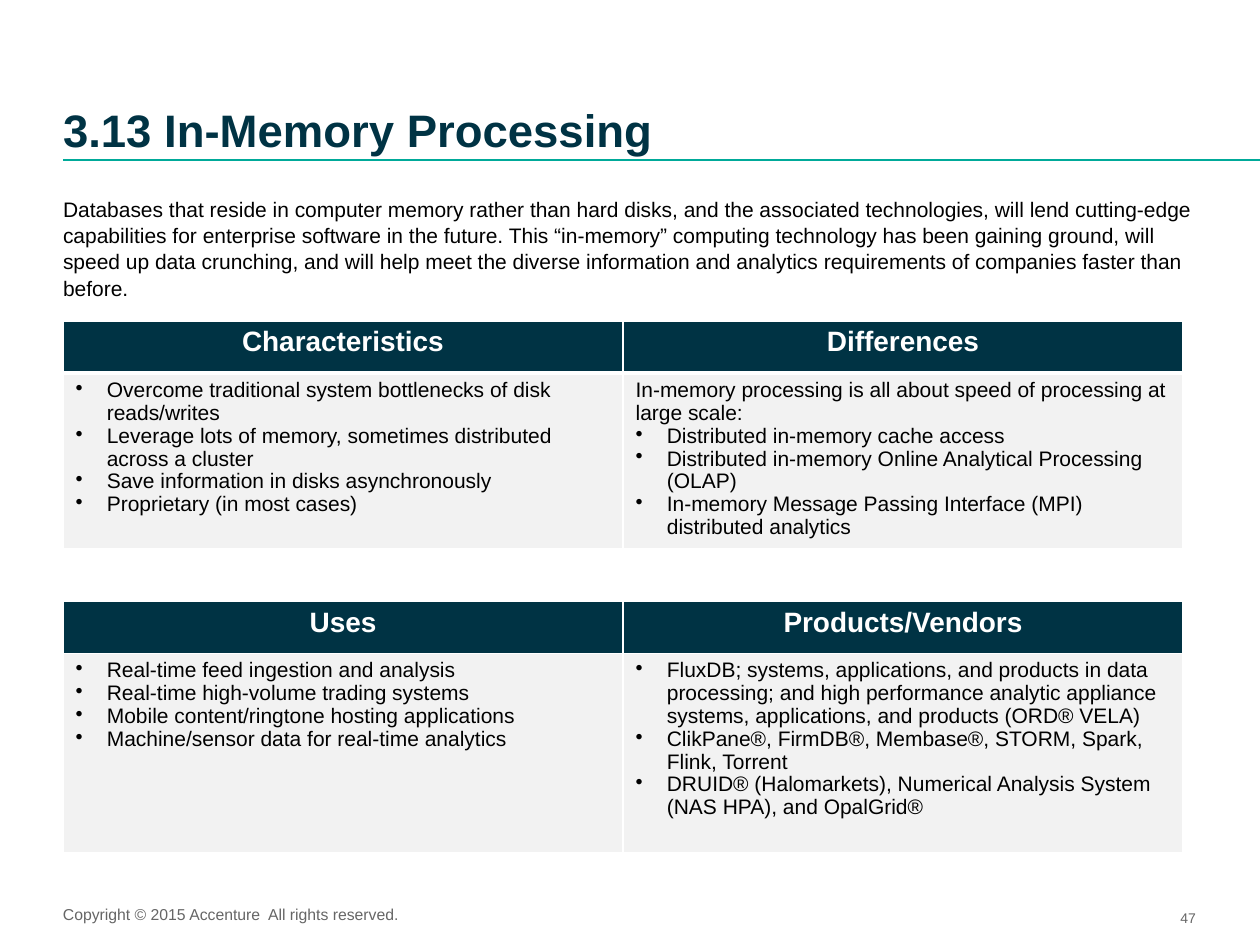
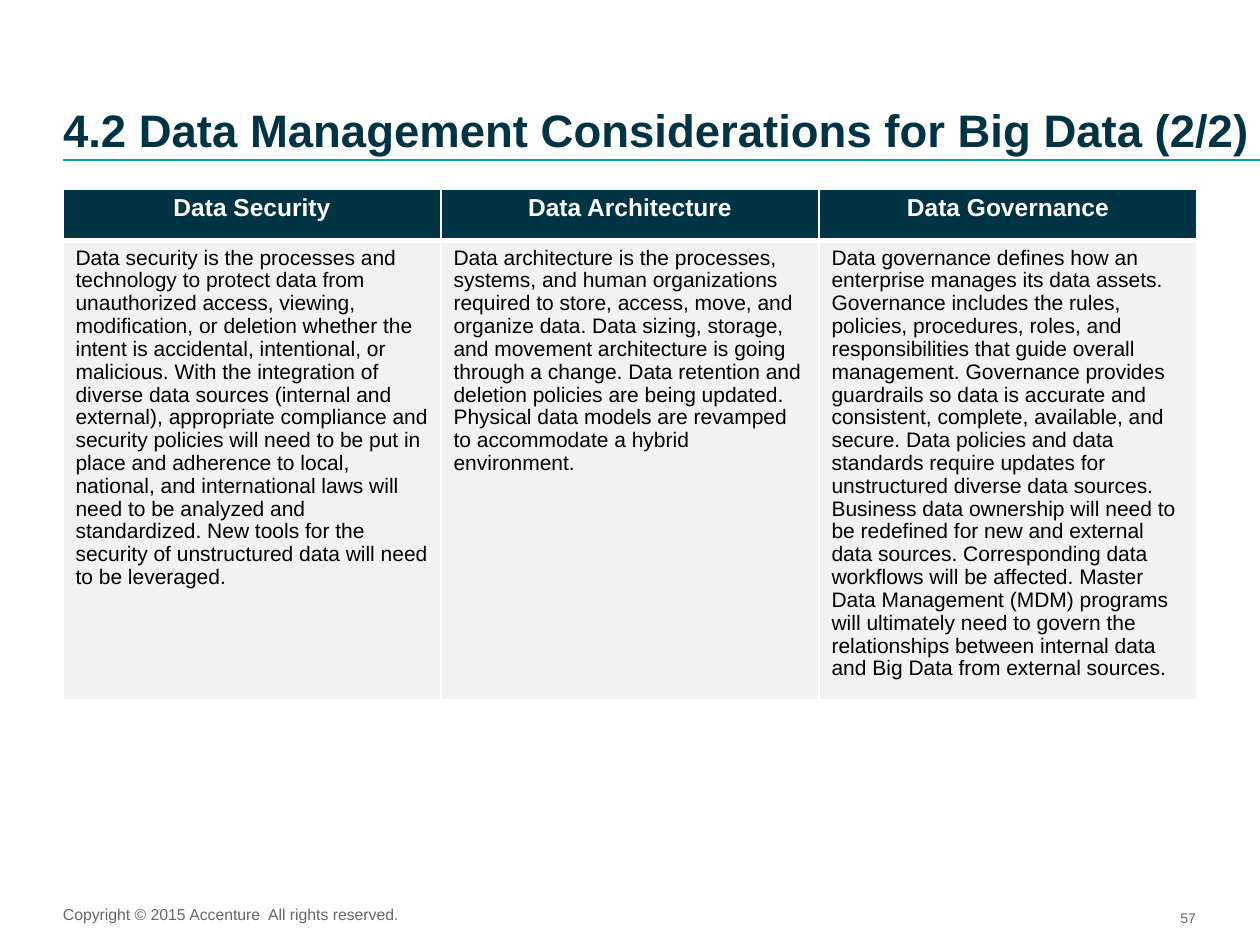
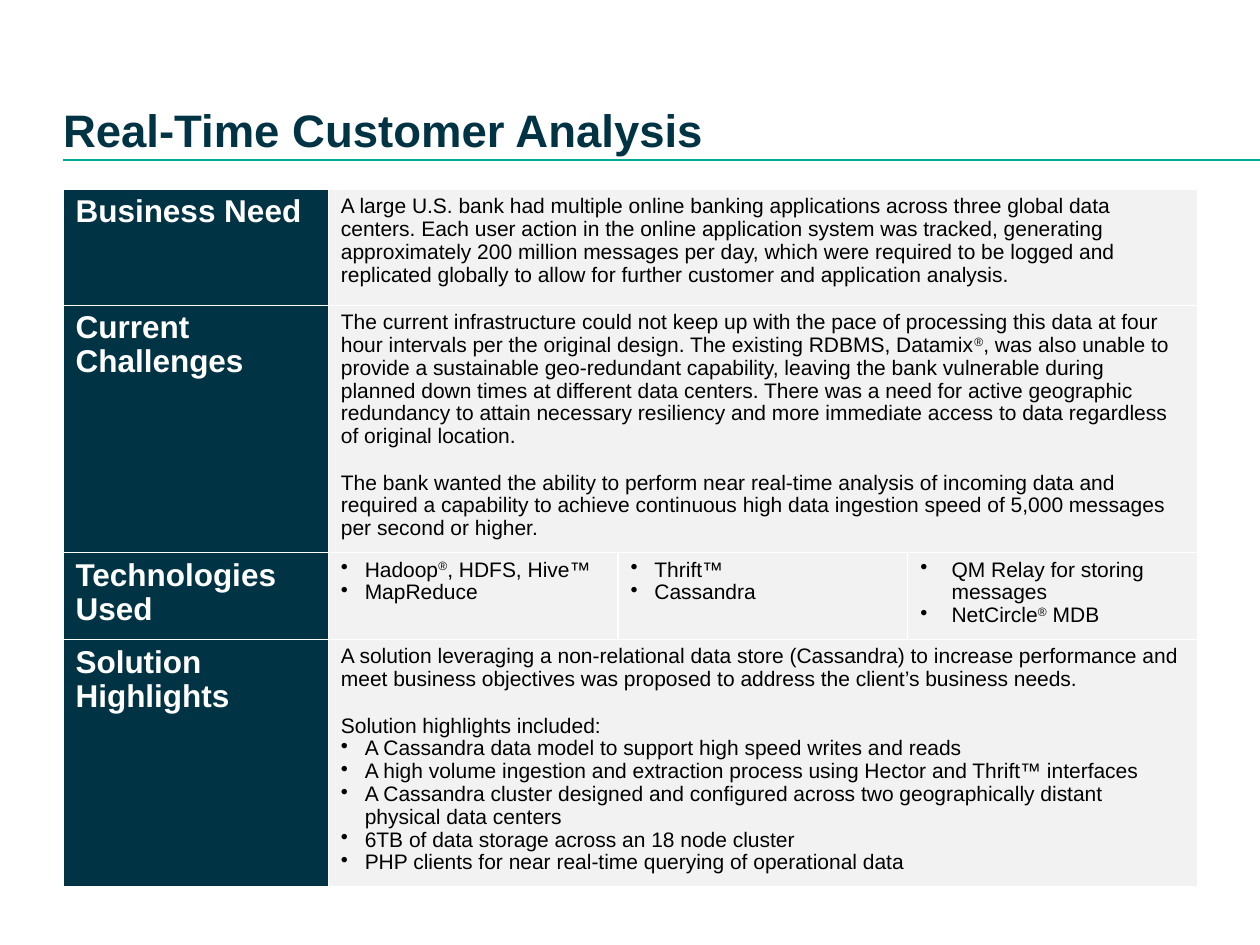
import pptx
import pptx.dml.color
import pptx.enum.shapes
import pptx.enum.text
import pptx.oxml
import pptx.oxml.ns
import pptx.util
from lxml import etree
from dataclasses import dataclass

Cm = pptx.util.Cm
Pt = pptx.util.Pt
ALIGN = pptx.enum.text.PP_ALIGN
ANCHOR = pptx.enum.text.MSO_ANCHOR


@dataclass(frozen=True)
class Theme:
    font: str = "Arial"
    navy: str = "003344"
    teal: str = "00AA99"
    black: str = "000000"
    white: str = "FFFFFF"
    panel: str = "F2F2F2"
    grey: str = "666666"
    title_size: float = 26
    text_size: float = 12
    footer_size: float = 9
    number_size: float = 8
    table_spacing: float = 0.97
    body_spacing: float = 1.04
    blank_line: float = 13.4


theme = Theme()
LEFT = Cm(1.27)
COPYRIGHT = "Copyright © 2015 Accenture  All rights reserved."

# Cell text: "# " marks a heading cell, "- " a bullet, "+ " a line of space
# before the paragraph, and ^ encloses superscript.
slides = [
    {
        "title": "3.13 In-Memory Processing",
        "title_width": 22.86,
        "body": "Databases that reside in computer memory rather than hard disks, and the associated "
                "technologies, will lend cutting-edge capabilities for enterprise software in the future. "
                "This “in-memory” computing technology has been gaining ground, will speed up data "
                "crunching, and will help meet the diverse information and analytics requirements of "
                "companies faster than before.",
        "number": "47",
        "top": 6.48,
        "columns": [11.29, 11.29],
        "rows": [1.04, 3.55, 1.06, 1.04, 4.02],
        "indents": [0.63, 0.63],
        "heading_size": 16,
        "heading_align": ALIGN.CENTER,
        "first_rule": 3,
        "cells": [
            [["# Characteristics"], ["# Differences"]],
            [
                [
                    "- Overcome traditional system bottlenecks of disk reads/writes",
                    "- Leverage lots of memory, sometimes distributed across a cluster",
                    "- Save information in disks asynchronously",
                    "- Proprietary (in most cases)",
                ],
                [
                    "In-memory processing is all about speed of processing at large scale:",
                    "- Distributed in-memory cache access",
                    "- Distributed in-memory Online Analytical Processing (OLAP)",
                    "- In-memory Message Passing Interface (MPI) distributed analytics",
                ],
            ],
            [[], []],
            [["# Uses"], ["# Products/Vendors"]],
            [
                [
                    "- Real-time feed ingestion and analysis",
                    "- Real-time high-volume trading systems",
                    "- Mobile content/ringtone hosting applications",
                    "- Machine/sensor data for real-time analytics",
                ],
                [
                    "- FluxDB; systems, applications, and products in data processing; and high "
                    "performance analytic appliance systems, applications, and products (ORD® VELA)",
                    "- ClikPane®, FirmDB®, Membase®, STORM, Spark, Flink, Torrent",
                    "- DRUID® (Halomarkets), Numerical Analysis System (NAS HPA), and OpalGrid®",
                ],
            ],
        ],
    },
    {
        "title": "4.2 Data Management Considerations for Big Data (2/2)",
        "title_width": 24.13,
        "number": "57",
        "top": 3.81,
        "columns": [7.62] * 3,
        "rows": [1.04, 9.25],
        "indents": [0.63] * 3,
        "heading_size": 14,
        "heading_align": ALIGN.CENTER,
        "first_rule": 3,
        "cells": [
            [["# Data Security"], ["# Data Architecture"], ["# Data Governance"]],
            [
                ["Data security is the processes and technology to protect data from unauthorized access, "
                 "viewing, modification, or deletion whether the intent is accidental, intentional, or "
                 "malicious. With the integration of diverse data sources (internal and external), "
                 "appropriate compliance and security policies will need to be put in place and adherence "
                 "to local, national, and international laws will need to be analyzed and standardized. "
                 "New tools for the security of unstructured data will need to be leveraged."],
                ["Data architecture is the processes, systems, and human organizations required to store, "
                 "access, move, and organize data. Data sizing, storage, and movement architecture is going "
                 "through a change. Data retention and deletion policies are being updated. Physical data "
                 "models are revamped to accommodate a hybrid environment."],
                ["Data governance defines how an enterprise manages its data assets. Governance includes "
                 "the rules, policies, procedures, roles, and responsibilities that guide overall "
                 "management. Governance provides guardrails so data is accurate and consistent, complete, "
                 "available, and secure. Data policies and data standards require updates for unstructured "
                 "diverse data sources. Business data ownership will need to be redefined for new and "
                 "external data sources. Corresponding data workflows will be affected. Master Data "
                 "Management (MDM) programs will ultimately need to govern the relationships between "
                 "internal data and Big Data from external sources."],
            ],
        ],
    },
    {
        "title": "Real-Time Customer Analysis",
        "title_width": 22.86,
        "top": 3.81,
        "columns": [5.35, 5.84, 5.84, 5.84],
        "rows": [2.34, 4.99, 1.75, 4.99],
        "indents": [0.48, 0.48, 0.48, 0.63],
        "heading_size": 18,
        "heading_align": ALIGN.LEFT,
        "first_rule": 0.5,
        "cells": [
            [
                ["# Business Need"],
                ["A large U.S. bank had multiple online banking applications across three global data "
                 "centers. Each user action in the online application system was tracked, generating "
                 "approximately 200 million messages per day, which were required to be logged and "
                 "replicated globally to allow for further customer and application analysis."],
            ],
            [
                ["# Current Challenges"],
                [
                    "The current infrastructure could not keep up with the pace of processing this data at "
                    "four hour intervals per the original design. The existing RDBMS, Datamix^®^, was also "
                    "unable to provide a sustainable geo-redundant capability, leaving the bank vulnerable "
                    "during planned down times at different data centers. There was a need for active "
                    "geographic redundancy to attain necessary resiliency and more immediate access to "
                    "data regardless of original location.",
                    "+ The bank wanted the ability to perform near real-time analysis of incoming data and "
                    "required a capability to achieve continuous high data ingestion speed of 5,000 "
                    "messages per second or higher.",
                ],
            ],
            [
                ["# Technologies Used"],
                ["- Hadoop^®^, HDFS, Hive™", "- MapReduce"],
                ["- Thrift™", "- Cassandra"],
                ["- QM Relay for storing messages", "- NetCircle^®^ MDB"],
            ],
            [
                ["# Solution Highlights"],
                [
                    "A solution leveraging a non-relational data store (Cassandra) to increase performance "
                    "and meet business objectives was proposed to address the client’s business needs.",
                    "+ Solution highlights included:",
                    "- A Cassandra data model to support high speed writes and reads",
                    "- A high volume ingestion and extraction process using Hector and Thrift™ interfaces",
                    "- A Cassandra cluster designed and configured across two geographically distant "
                    "physical data centers",
                    "- 6TB of data storage across an 18 node cluster",
                    "- PHP clients for near real-time querying of operational data",
                ],
            ],
        ],
    },
]


def write(frame, lines, size, color, bold=False, align=ALIGN.LEFT, spacing=1.0, indent=0.0):
    """Write marked-up lines into a text frame, run by run."""
    for index, line in enumerate(lines):
        paragraph = frame.paragraphs[0] if index == 0 else frame.add_paragraph()
        paragraph.alignment = align
        paragraph.line_spacing = spacing
        paragraph.space_before = Pt(theme.blank_line if line.startswith("+ ") else 0)
        properties = paragraph._p.get_or_add_pPr()
        bulleted = line.startswith("- ")
        properties.set("marL", str(Cm(indent) if bulleted else 0))
        properties.set("indent", str(-Cm(indent) if bulleted else 0))
        bullet = etree.SubElement(properties, pptx.oxml.ns.qn("a:buChar" if bulleted else "a:buNone"))
        if bulleted:
            bullet.set("char", "•")
        text = line[2:] if line[:2] in ("# ", "- ", "+ ") else line
        for position, part in enumerate(text.split("^")):
            run = paragraph.add_run()
            run.text = part
            run.font.name = theme.font
            run.font.size = Pt(size)
            run.font.bold = bold
            run.font.color.rgb = pptx.dml.color.RGBColor.from_string(color)
            if position % 2:
                run._r.get_or_add_rPr().set("baseline", "30000")


def place(shape, left, top, width, height, anchor, insets):
    """Position a text shape and set up its frame; insets are left, top, right, bottom."""
    shape.left, shape.top, shape.width, shape.height = left, top, width, height
    frame = shape.text_frame
    frame.word_wrap = True
    frame.auto_size = pptx.enum.text.MSO_AUTO_SIZE.NONE
    frame.vertical_anchor = anchor
    frame.margin_left, frame.margin_top, frame.margin_right, frame.margin_bottom = map(Cm, insets)
    return frame


presentation = pptx.Presentation()
presentation.slide_width = Cm(25.4)
presentation.slide_height = Cm(19.05)

for content in slides:
    layout = presentation.slide_layouts[1 if "body" in content else 5]
    slide = presentation.slides.add_slide(layout)

    # Title rule, kept on the master
    if content is slides[0]:
        rule = slide.shapes.add_connector(
            pptx.enum.shapes.MSO_CONNECTOR.STRAIGHT, LEFT, Cm(3.23), Cm(25.4), Cm(3.23))
        rule.line.color.rgb = pptx.dml.color.RGBColor.from_string(theme.teal)
        rule.line.width = Pt(1)
        etree.SubElement(rule.element.spPr, pptx.oxml.ns.qn("a:effectLst"))
        presentation.slide_master.shapes.element.append(rule.element)

    # Title and introduction
    frame = place(slide.shapes.title, LEFT, Cm(0.36), Cm(content["title_width"]), Cm(2.79),
                  ANCHOR.BOTTOM, (0, 0.13, 0, 0))
    write(frame, [content["title"]], theme.title_size, theme.navy, bold=True)
    if "body" in content:
        frame = place(slide.placeholders[1], LEFT, Cm(3.81), Cm(22.86), Cm(14.81),
                      ANCHOR.TOP, (0, 0.13, 0, 0))
        write(frame, [content["body"]], theme.text_size, theme.black, spacing=theme.body_spacing)

    # Table grid
    columns, rows = content["columns"], content["rows"]
    table = slide.shapes.add_table(len(rows), len(columns), LEFT, Cm(content["top"]),
                                   Cm(sum(columns)), Cm(sum(rows))).table
    for column, width in zip(table.columns, columns):
        column.width = Cm(width)
    for row, height in zip(table.rows, rows):
        row.height = Cm(height)

    # Cell borders and text; the last cell of a short row spans the rest
    for row_index, row_cells in enumerate(content["cells"]):
        for column_index in range(len(columns)):
            cell = table.cell(row_index, column_index)
            edges = {"lnL": 1, "lnR": 1, "lnT": 1, "lnB": 1}
            if row_index == 0:
                edges["lnB"] = content["first_rule"]
            elif row_index == 1:
                edges["lnT"] = min(1, content["first_rule"])
            for edge, points in edges.items():
                border = etree.SubElement(cell._tc.get_or_add_tcPr(), pptx.oxml.ns.qn("a:" + edge))
                border.set("w", str(Pt(points)))
                fill = etree.SubElement(border, pptx.oxml.ns.qn("a:solidFill"))
                etree.SubElement(fill, pptx.oxml.ns.qn("a:srgbClr")).set("val", theme.white)

            lines = row_cells[column_index] if column_index < len(row_cells) else []
            heading = bool(lines) and lines[0].startswith("# ")
            color = theme.navy if heading else theme.panel if lines else theme.white
            cell.fill.solid()
            cell.fill.fore_color.rgb = pptx.dml.color.RGBColor.from_string(color)
            if heading:
                write(cell.text_frame, lines, content["heading_size"], theme.white, bold=True,
                      align=content["heading_align"], spacing=theme.table_spacing)
            else:
                write(cell.text_frame, lines, theme.text_size, theme.black,
                      spacing=theme.table_spacing, indent=content["indents"][column_index])
        if len(row_cells) < len(columns):
            table.cell(row_index, len(row_cells) - 1).merge(table.cell(row_index, len(columns) - 1))

    # Footer and slide number
    if "number" in content:
        footer = slide.shapes.add_textbox(0, 0, 0, 0)
        frame = place(footer, LEFT, Cm(18.26), Cm(11.28), Cm(0.36), ANCHOR.MIDDLE, (0, 0.13, 0.25, 0.13))
        write(frame, [COPYRIGHT], theme.footer_size, theme.grey)
        number = slide.shapes.add_textbox(0, 0, 0, 0)
        frame = place(number, Cm(23.01), Cm(18.24), Cm(1.1), Cm(0.64), ANCHOR.TOP, (0, 0.1, 0, 0))
        write(frame, [content["number"]], theme.number_size, theme.grey, align=ALIGN.RIGHT)

presentation.save("out.pptx")
